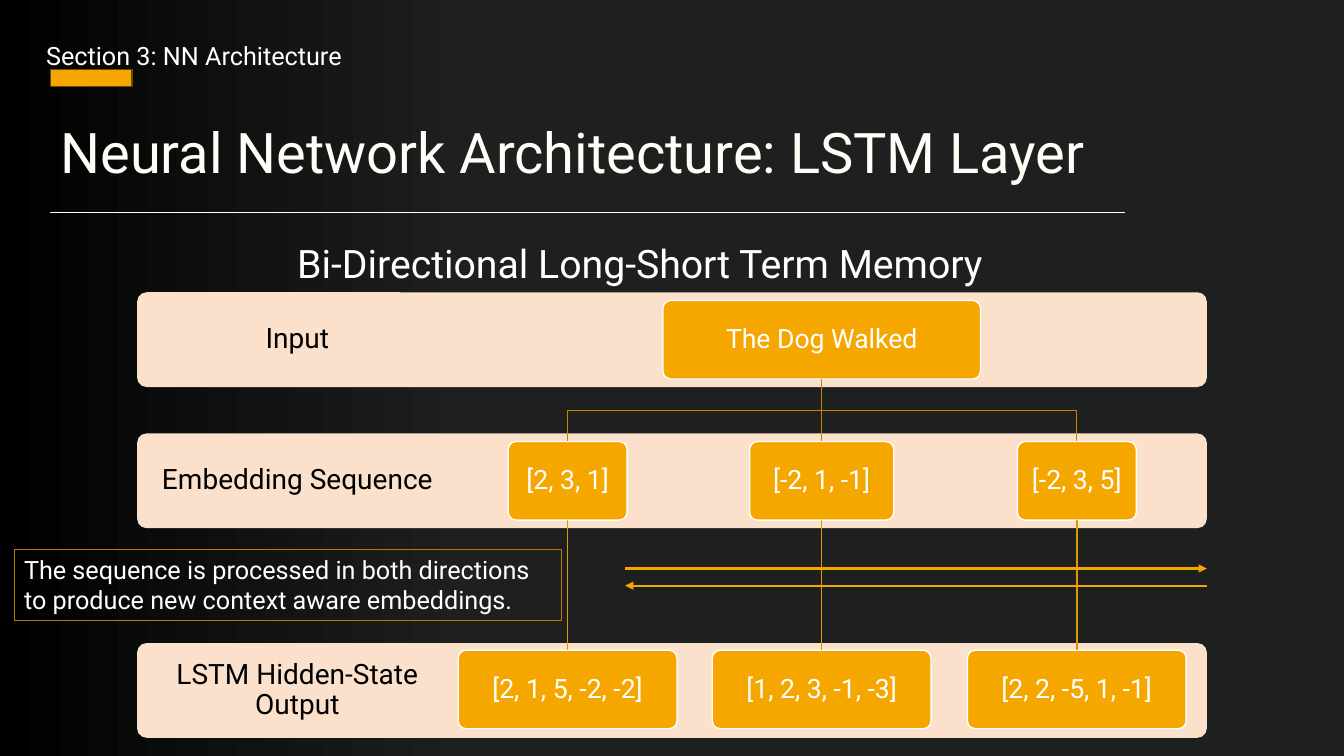
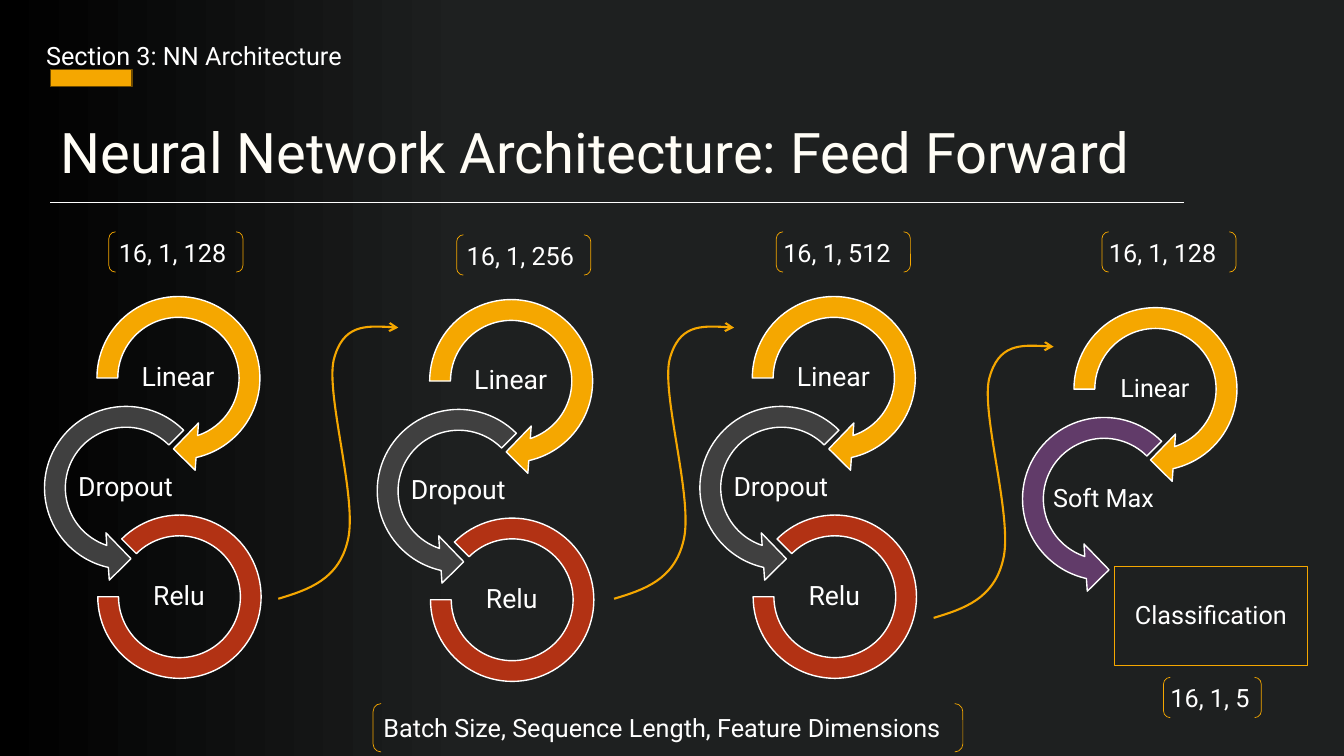
from lxml import etree
from pptx import Presentation
from pptx.dml.color import RGBColor
from pptx.enum.shapes import MSO_CONNECTOR, MSO_SHAPE
from pptx.enum.text import MSO_ANCHOR, MSO_AUTO_SIZE, PP_ALIGN
from pptx.oxml.ns import qn
from pptx.util import Inches, Pt

FONT = "Roboto"
WHITE, BLACK, TITLE_COLOR = "FFFFFF", "000000", "FFFDF6"
AMBER, DARK_AMBER, LINK_AMBER = "F5A700", "C48600", "DE9800"
PEACH, GREY, RED, PURPLE = "FBE1CC", "404040", "B23214", "613B69"
BACKGROUND_STOPS = [(0, "000000"), (35, "1E2020"), (100, "1E2020"), (100, "161818")]

STRAIGHT = MSO_CONNECTOR.STRAIGHT
RECTANGLE = MSO_SHAPE.RECTANGLE
ROUNDED = MSO_SHAPE.ROUNDED_RECTANGLE
BRACKETS = MSO_SHAPE.DOUBLE_BRACKET
PROCESS = MSO_SHAPE.FLOWCHART_PROCESS
RIGHT_ARROW = MSO_SHAPE.CIRCULAR_ARROW
LEFT_ARROW = MSO_SHAPE.LEFT_CIRCULAR_ARROW
BLOCK_ARC = MSO_SHAPE.BLOCK_ARC
LEFT, CENTER = PP_ALIGN.LEFT, PP_ALIGN.CENTER
TOP, MIDDLE = MSO_ANCHOR.TOP, MSO_ANCHOR.MIDDLE
NO_AUTOFIT = MSO_AUTO_SIZE.NONE

RING_STYLES = {
    RIGHT_ARROW: (1.88, [0.11, 11.42, 45, 108, 0.125]),
    LEFT_ARROW: (1.88, [0.11, 11.42, 63, 189, 0.125]),
    BLOCK_ARC: (1.62, [135, 108, 0.127]),
}
TITLE_INSETS = (0.1, 0.05, 0.1, 0.05)
COLUMN_CENTERS = (5.63, 8.15, 10.68)
CURVE_OFFSETS = [
    (0.3, -0.09), (0.6, -0.19), (0.69, -0.58),
    (0.79, -0.98), (0.47, -2.02), (0.55, -2.37),
    (0.64, -2.72), (0.92, -2.71), (1.19, -2.69),
]


def rgb(value):
    """Turn a hex string into a colour."""
    return RGBColor.from_string(value)


def write_text(shape, text, size, color=WHITE, align=LEFT, anchor=TOP,
               insets=TITLE_INSETS, spacing=1.0):
    """Write one formatted paragraph into a shape."""
    frame = shape.text_frame
    frame.word_wrap = True
    frame.auto_size = NO_AUTOFIT
    frame.vertical_anchor = anchor
    (frame.margin_left, frame.margin_top,
     frame.margin_right, frame.margin_bottom) = map(Inches, insets)
    frame.text = text
    paragraph = frame.paragraphs[0]
    paragraph.alignment = align
    paragraph.line_spacing = spacing
    paragraph.font.name = FONT
    paragraph.font.size = Pt(size)
    paragraph.font.color.rgb = rgb(color)


def set_line(shape, color, width, arrowhead=None):
    """Style an outline or line and give its end an arrowhead if asked."""
    shape.line.color.rgb = rgb(color)
    shape.line.width = Pt(width)
    if arrowhead:
        line = shape.element.spPr.find(qn("a:ln"))
        etree.SubElement(line, qn("a:tailEnd"), type=arrowhead)


def add_box(slide, kind, box, fill=None, line=None, width=1):
    """Add a preset shape with an optional fill and outline."""
    shape = slide.shapes.add_shape(kind, *map(Inches, box))
    shape.shadow.inherit = False
    if fill:
        shape.fill.solid()
        shape.fill.fore_color.rgb = rgb(fill)
    else:
        shape.fill.background()
    if line:
        set_line(shape, line, width)
    else:
        shape.line.fill.background()
    return shape


def add_label(slide, box, text, size, **style):
    """Add a text box."""
    label = slide.shapes.add_textbox(*map(Inches, box))
    write_text(label, text, size, **style)


def add_line(slide, start, end, color, width, arrowhead=None):
    """Add a straight connector."""
    connector = slide.shapes.add_connector(STRAIGHT, *map(Inches, start + end))
    set_line(connector, color, width, arrowhead)
    etree.SubElement(connector.element.spPr, qn("a:effectLst"))
    return connector


def link_boxes(slide, upper, lower, color):
    """Join the bottom of one box to the top of another."""
    connector = add_line(slide, (0, 0), (0, 0), color, 1)
    connector.begin_connect(upper, 2)
    connector.end_connect(lower, 0)


def add_polyline(slide, points, color, width, arrowhead=None):
    """Add an open, unfilled outline through the points."""
    start, *rest = [(Inches(x), Inches(y)) for x, y in points]
    builder = slide.shapes.build_freeform(*start)
    builder.add_line_segments(rest, close=False)
    shape = builder.convert_to_shape()
    shape.shadow.inherit = False
    shape.fill.background()
    set_line(shape, color, width, arrowhead)
    return shape


def add_curved_arrow(slide, x, y):
    """Add the S-shaped arrow that leads to the next stage."""
    points = [(x, y)] + [(x + dx, y + dy) for dx, dy in CURVE_OFFSETS]
    shape = add_polyline(slide, points, AMBER, 1.5, "arrow")
    outline = next(shape.element.iter(qn("a:path")))
    segments = outline.findall(qn("a:lnTo"))
    for first in range(0, len(segments), 3):
        curve = etree.SubElement(outline, qn("a:cubicBezTo"))
        for segment in segments[first:first + 3]:
            curve.append(segment[0])
            outline.remove(segment)


def set_background(master):
    """Give the master its dark horizontal gradient."""
    fill = master.background.fill
    fill.gradient()
    fill.gradient_angle = 0
    stops = next(master.element.iter(qn("a:gsLst")))
    for stop in list(stops):
        stops.remove(stop)
    for position, color in BACKGROUND_STOPS:
        stop = etree.SubElement(stops, qn("a:gs"), pos=str(position * 1000))
        etree.SubElement(stop, qn("a:srgbClr"), val=color)


def start_slide(presentation, title, rule_end, rule_top):
    """Add a slide with title, section label, accent bar and rule."""
    slide = presentation.slides.add_slide(presentation.slide_layouts[5])
    heading = slide.shapes.title
    heading.left, heading.top, heading.width, heading.height = map(
        Inches, (0.5, 1.12, 12.33, 0.77))
    write_text(heading, title, 40, TITLE_COLOR)
    add_box(slide, RECTANGLE, (0.5, 0.69, 0.81, 0.17), AMBER, "6B4900")
    add_line(slide, (0.5, rule_top), (rule_end, rule_top), WHITE, 0.5)
    add_label(slide, (0.36, 0.35, 6.67, 0.4), "Section 3: NN Architecture", 18)
    return slide


def add_band(slide, top, text):
    """Add a pale row with its name in the left part."""
    band = add_box(slide, ROUNDED, (1.36, top, 10.61, 0.94), PEACH)
    band.adjustments[0] = 0.1
    write_text(band, text, 20, BLACK, CENTER, MIDDLE, (0.16, 0.16, 7.59, 0.16), 0.9)


def add_node(slide, center, top, width, text):
    """Add an amber box centred on a column."""
    node = add_box(slide, ROUNDED, (center - width / 2, top, width, 0.78), AMBER, WHITE)
    node.adjustments[0] = 0.1
    write_text(node, text, 19, WHITE, CENTER, MIDDLE, (0.08,) * 4, 0.9)
    return node


def add_ring(slide, kind, center_x, center_y, text, fill, size):
    """Add a circular arrow or arc with a label in its middle."""
    diameter, adjustments = RING_STYLES[kind]
    box = (center_x - diameter / 2, center_y - diameter / 2, diameter, diameter)
    ring = add_box(slide, kind, box, fill, WHITE)
    for index, value in enumerate(adjustments):
        ring.adjustments[index] = value
    add_label(slide, (center_x - 0.53, center_y - 0.26, 1.05, 0.52), text, size,
              align=CENTER, anchor=MIDDLE, insets=(0.01,) * 4, spacing=0.9)


def add_bracketed(slide, box, text, indent):
    """Add text between a pair of brackets."""
    brackets = add_box(slide, BRACKETS, box, line=AMBER, width=0.5)
    write_text(brackets, text, 18, anchor=MIDDLE, insets=(indent, 0, 0, 0))


def build_lstm_slide(presentation):
    """Build the slide on the bi-directional LSTM layer."""
    slide = start_slide(presentation, "Neural Network Architecture: LSTM Layer", 11.16, 2.11)
    add_label(slide, (2.85, 2.33, 7.63, 0.57), "Bi-Directional Long-Short Term Memory", 28)
    for top, name in ((2.9, "Input"), (4.3, "Embedding Sequence"),
                      (6.38, "LSTM Hidden-State Output")):
        add_band(slide, top, name)

    middle = COLUMN_CENTERS[1]
    source = add_node(slide, middle, 2.98, 3.15, "The Dog Walked")
    columns = [
        ("[2, 3, 1]", 1.18, "[2, 1, 5, -2, -2]"),
        ("[-2, 1, -1]", 1.43, "[1, 2, 3, -1, -3]"),
        ("[-2, 3, 5]", 1.18, "[2, 2, -5, 1, -1]"),
    ]
    for center, (embedding, width, output) in zip(COLUMN_CENTERS, columns):
        embedding_node = add_node(slide, center, 4.38, width, embedding)
        output_node = add_node(slide, center, 6.45, 2.17, output)
        link_boxes(slide, embedding_node, output_node, LINK_AMBER)
        if center == middle:
            link_boxes(slide, source, embedding_node, DARK_AMBER)
        else:
            add_polyline(slide, [(middle, 3.77), (middle, 4.07), (center, 4.07),
                                 (center, 4.38)], DARK_AMBER, 1)

    add_line(slide, (6.2, 5.64), (11.97, 5.64), AMBER, 1.5, "triangle")
    add_line(slide, (11.97, 5.81), (6.2, 5.81), AMBER, 1.5, "triangle")
    note = add_box(slide, RECTANGLE, (0.14, 5.45, 5.43, 0.71), line="B87D00", width=0.75)
    write_text(note, "The sequence is processed in both directions to produce "
                     "new context aware embeddings.", 18)


def build_feed_forward_slide(presentation):
    """Build the slide on the feed-forward stages."""
    slide = start_slide(presentation, "Neural Network Architecture: Feed Forward", 11.74, 2.01)
    for left, top, text, indent in (
            (1.08, 2.3, "16, 1, 128", 0.08), (4.53, 2.33, "16, 1, 256", 0.08),
            (7.7, 2.3, "16, 1, 512", 0.05), (10.93, 2.3, "16, 1, 128", 0.05)):
        add_bracketed(slide, (left, top, 1.33, 0.4), text, indent)

    for x, y in ((1.77, 3.75), (5.07, 3.78), (8.27, 3.75)):
        add_ring(slide, RIGHT_ARROW, x, y, "Linear", AMBER, 19)
        add_ring(slide, LEFT_ARROW, x - 0.52, y + 1.09, "Dropout", GREY, 19)
        add_ring(slide, BLOCK_ARC, x + 0.01, y + 2.17, "Relu", RED, 19)
    add_ring(slide, RIGHT_ARROW, 11.46, 3.86, "Linear", AMBER, 18)
    add_ring(slide, LEFT_ARROW, 10.95, 4.95, "Soft Max", PURPLE, 18)
    result = add_box(slide, PROCESS, (11.05, 5.62, 1.92, 0.98), line=AMBER, width=0.75)
    write_text(result, "Classification", 18, WHITE, CENTER, MIDDLE, (0.06,) * 4, 0.9)

    for x, y in ((2.76, 5.94), (6.09, 5.94), (9.26, 6.13)):
        add_curved_arrow(slide, x, y)
    add_bracketed(slide, (3.7, 6.98, 5.85, 0.48),
                  "Batch Size, Sequence Length, Feature Dimensions", 0.08)
    add_bracketed(slide, (11.54, 6.72, 0.97, 0.4), "16, 1, 5", 0.05)


def main():
    """Build and save the presentation."""
    presentation = Presentation()
    presentation.slide_width = Inches(13.33)
    presentation.slide_height = Inches(7.5)
    set_background(presentation.slide_master)
    build_lstm_slide(presentation)
    build_feed_forward_slide(presentation)
    presentation.save("out.pptx")


if __name__ == "__main__":
    main()
